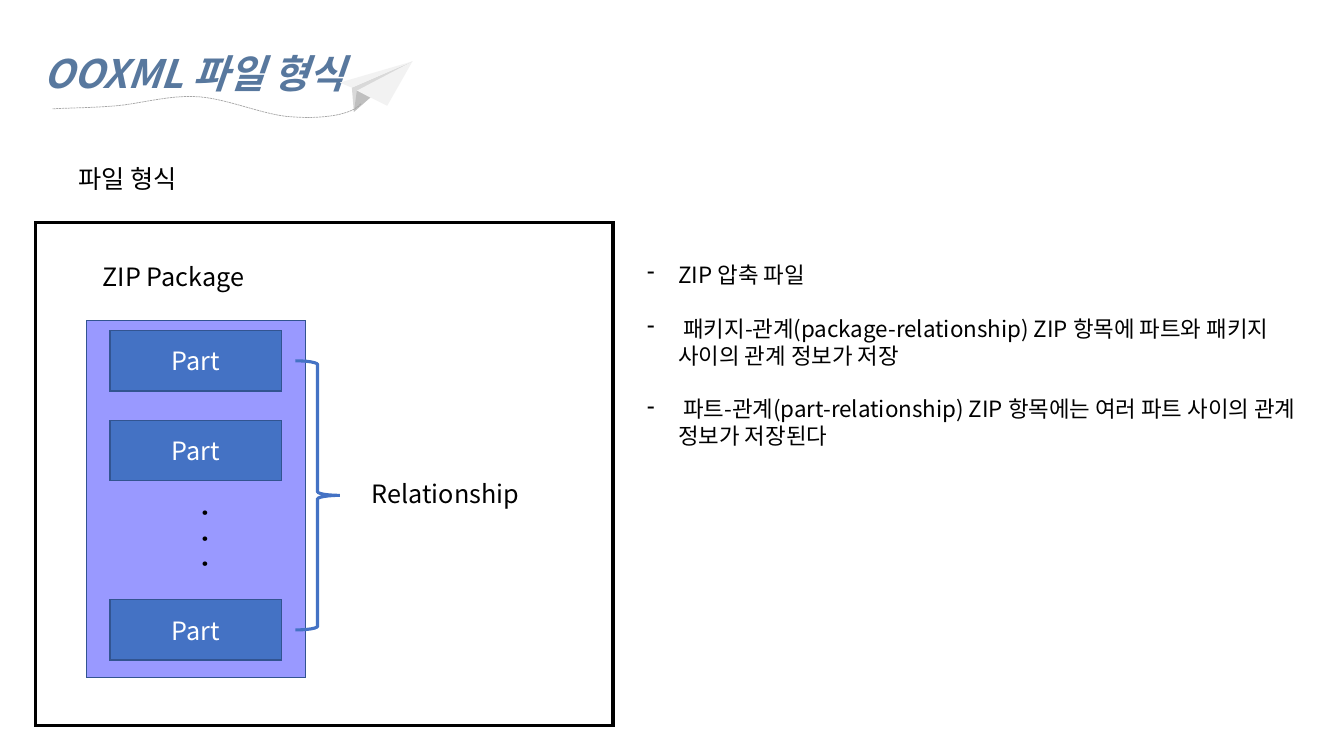
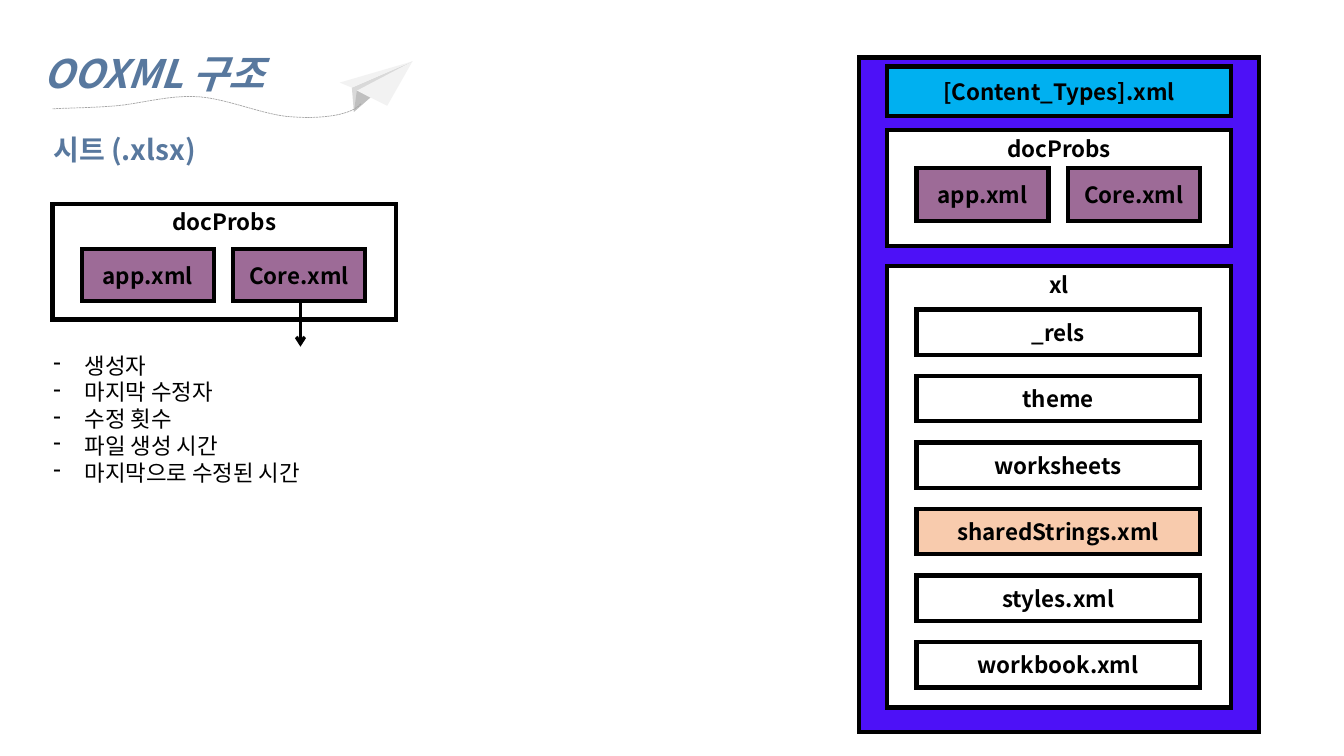
from dataclasses import dataclass

from lxml.etree import SubElement as Sub
from pptx import Presentation as Deck
from pptx.dml.color import RGBColor as Color
from pptx.enum.dml import MSO_LINE as Dash
from pptx.enum.shapes import MSO_CONNECTOR as Link, MSO_SHAPE as Kind
from pptx.enum.text import MSO_ANCHOR as Anchor, MSO_AUTO_SIZE as Fit, PP_ALIGN as Align
from pptx.oxml.ns import qn
from pptx.util import Inches, Pt


@dataclass(frozen=True)
class Theme:
    """Colours, font and type sizes of the deck."""
    font: str = "Noto Sans CJK KR"
    ink: str = "000000"
    paper: str = "FFFFFF"
    steel: str = "58789E"
    blue: str = "4472C4"
    navy: str = "325491"
    lilac: str = "9999FF"
    violet: str = "4D11F7"
    sky: str = "00B0F0"
    plum: str = "9D6B97"
    peach: str = "F8CBAD"
    wing: str = "F2F2F2"
    fold: str = "D9D9D9"
    shade: str = "BFBFBF"
    trail: str = "A6A6A6"
    head: int = 28
    sub: int = 20
    dots: int = 24
    body: int = 18
    note: int = 16


THEME = Theme()
PLANE = [
    (THEME.fold, [(3.49, 0.87), (3.51, 1.11), (4.09, 0.61)]),
    (THEME.wing, [(4.09, 0.61), (3.54, 0.9), (3.84, 1.05)]),
    (THEME.wing, [(4.09, 0.61), (3.49, 0.87), (3.37, 0.82)]),
    (THEME.shade, [(3.54, 0.9), (3.51, 1.11), (3.67, 0.97)]),
]
TRAIL = [
    (3.58, 1.03), (3.48, 1.15), (3.17, 1.18), (2.9, 1.16),
    (2.64, 1.15), (2.26, 0.98), (1.97, 0.96),
    (1.68, 0.94), (1.39, 1.03), (1.15, 1.05),
    (0.91, 1.07), (0.71, 1.07), (0.52, 1.08),
]


def curve(knots, steps=12):
    """Return points along a chain of cubic Bezier curves."""
    spots = [knots[0]]
    for i in range(0, len(knots) - 1, 3):
        for n in range(1, steps + 1):
            t = n / steps
            parts = ((1 - t) ** 3, 3 * t * (1 - t) ** 2, 3 * t * t * (1 - t), t ** 3)
            spots.append(tuple(
                sum(w * knot[axis] for w, knot in zip(parts, knots[i:i + 4]))
                for axis in (0, 1)))
    return spots


def write(shape, text, size=THEME.body, color=THEME.ink, bold=False, italic=False,
          align=Align.LEFT, anchor=Anchor.TOP, lead=None, gap=0, bullet=None,
          track=0, grow=False):
    """Fill a shape with text, one paragraph a line, in one format."""
    frame = shape.text_frame
    frame.text = text
    frame.word_wrap = True
    frame.vertical_anchor = anchor
    frame.auto_size = Fit.SHAPE_TO_FIT_TEXT if grow else Fit.NONE
    for i, para in enumerate(frame.paragraphs):
        para.alignment = align
        if lead:
            para.line_spacing = lead
        if gap and i:
            para.space_before = Pt(gap)
        for run in para.runs:
            font = run.font
            font.name, font.size = THEME.font, Pt(size)
            font.bold, font.italic = bold, italic
            font.color.rgb = Color.from_string(color)
    for props in shape.element.iter(qn("a:rPr")):
        Sub(props, qn("a:ea")).set("typeface", THEME.font)
        if track:
            props.set("spc", str(track * 100))
    if bullet:
        for props in shape.element.iter(qn("a:pPr")):
            props.set("marL", str(Inches(0.31)))
            props.set("indent", str(-Inches(0.31)))
            Sub(props, qn("a:buChar")).set("char", bullet)


class Pen:
    """Draws styled elements on the current slide."""

    def __init__(self):
        """Start a wide, empty deck."""
        self.deck = Deck()
        self.deck.slide_width = Inches(13.33)
        self.deck.slide_height = Inches(7.5)
        self.slide = None

    def page(self, title):
        """Add a slide with its title and the paper plane."""
        self.slide = self.deck.slides.add_slide(self.deck.slide_layouts[5])
        head = self.slide.shapes.title
        head.left, head.top = Inches(0.33), Inches(0.21)
        head.width, head.height = Inches(4.56), Inches(0.74)
        write(head, title, size=THEME.head, color=THEME.steel, bold=True,
              italic=True, lead=1.5, grow=True)
        for fill, spots in PLANE:
            self.shape(spots, fill=fill)
        path = self.shape(curve(TRAIL), line=THEME.trail, width=0.5)
        path.line.dash_style = Dash.SQUARE_DOT

    def paint(self, shape, fill=None, line=None, width=1):
        """Set fill and outline, without a shadow."""
        shape.shadow.inherit = False
        if fill:
            shape.fill.solid()
            shape.fill.fore_color.rgb = Color.from_string(fill)
        else:
            shape.fill.background()
        if line:
            shape.line.color.rgb = Color.from_string(line)
            shape.line.width = Pt(width)
        else:
            shape.line.fill.background()
        return shape

    def shape(self, spots, fill=None, **look):
        """Draw an outline through points, closed when it has a fill."""
        first, *rest = [(Inches(x), Inches(y)) for x, y in spots]
        form = self.slide.shapes.build_freeform(*first)
        form.add_line_segments(rest, close=bool(fill))
        return self.paint(form.convert_to_shape(), fill, **look)

    def box(self, x, y, w, h, text="", fill=THEME.paper, line=THEME.ink, width=3,
            kind=Kind.RECTANGLE, **style):
        """Draw a sharp-cornered preset shape, with a label if it has text."""
        item = self.slide.shapes.add_shape(
            kind, Inches(x), Inches(y), Inches(w), Inches(h))
        self.paint(item, fill, line, width)
        edge = item.element.spPr.find(qn("a:ln"))
        Sub(edge, qn("a:miter")).set("lim", "800000")
        if text:
            look = dict(size=THEME.note, bold=True, align=Align.CENTER,
                        anchor=Anchor.MIDDLE)
            write(item, text, **(look | style))

    def text(self, x, y, w, h, text, upright=False, **style):
        """Add a text box."""
        item = self.slide.shapes.add_textbox(
            Inches(x), Inches(y), Inches(w), Inches(h))
        write(item, text, **style)
        if upright:
            item.element.txBody.bodyPr.set("vert", "eaVert")

    def arrow(self, x, y, end):
        """Draw an arrow straight down."""
        item = self.slide.shapes.add_connector(
            Link.STRAIGHT, Inches(x), Inches(y), Inches(x), Inches(end))
        item.line.color.rgb = Color.from_string(THEME.ink)
        item.line.width = Pt(2.25)
        props = item.element.spPr
        Sub(props.find(qn("a:ln")), qn("a:tailEnd")).set("type", "arrow")
        Sub(props, qn("a:effectLst"))

    def docs(self, x, y, drop):
        """Draw the docProbs folder with its two files."""
        self.box(x, y, 3.41, 1.15, "docProbs", anchor=Anchor.TOP)
        for i, name in enumerate(("app.xml", "Core.xml")):
            self.box(x + 0.29 + 1.5 * i, y + drop, 1.31, 0.52, name, fill=THEME.plum)


def format_page(pen):
    """Build the slide on the file format."""
    pen.page("OOXML 파일 형식")
    pen.text(0.68, 1.57, 8.08, 0.4, "파일 형식")
    pen.box(0.35, 2.21, 5.73, 4.99, width=2.25)
    pen.box(0.86, 3.18, 2.17, 3.54, fill=THEME.lilac, line=THEME.navy, width=1)
    for row in (0, 1, 3):
        pen.box(1.09, 3.28 + 0.89 * row, 1.7, 0.6, "Part", fill=THEME.blue,
                line=THEME.navy, width=1, size=THEME.body, color=THEME.paper,
                bold=False)
    pen.text(1.79, 4.95, 0.61, 1.77, ". . .", upright=True, size=THEME.dots, track=3)
    pen.text(0.92, 2.54, 2.36, 0.4, "ZIP Package")
    pen.box(2.93, 3.58, 0.44, 2.67, fill=None, line=THEME.blue, width=2.25,
            kind=Kind.RIGHT_BRACE)
    pen.text(3.59, 4.7, 2.36, 0.4, "Relationship")
    notes = (
        "ZIP 압축 파일",
        " 패키지-관계(package-relationship) ZIP 항목에 파트와 패키지 사이의 관계 정보가 저장",
        " 파트-관계(part-relationship) ZIP 항목에는 여러 파트 사이의 관계 정보가 저장된다",
    )
    pen.text(6.32, 2.54, 6.67, 1.99, "\n".join(notes), size=THEME.note,
             bullet="-", gap=19.25)


def tree_page(pen):
    """Build the slide on the parts of a workbook."""
    pen.page("OOXML 구조")
    pen.box(8.52, 0.57, 3.97, 6.69, fill=THEME.violet)
    pen.box(8.8, 0.66, 3.41, 0.49, "[Content_Types].xml", fill=THEME.sky)
    pen.docs(8.8, 1.29, 0.38)
    pen.box(8.8, 2.64, 3.41, 4.38, "xl", anchor=Anchor.TOP)
    names = ("_rels", "theme", "worksheets", "sharedStrings.xml", "styles.xml",
             "workbook.xml")
    for i, name in enumerate(names):
        fill = THEME.peach if name == "sharedStrings.xml" else THEME.paper
        pen.box(9.09, 3.07 + 0.66 * i, 2.81, 0.45, name, fill=fill)
    pen.text(0.43, 1.27, 3.24, 0.44, "시트 (.xlsx)", size=THEME.sub,
             color=THEME.steel, bold=True)
    pen.docs(0.52, 2.02, 0.45)
    pen.arrow(2.98, 2.99, 3.44)
    facts = ("생성자", "마지막 수정자", "수정 횟수", "파일 생성 시간",
             "마지막으로 수정된 시간")
    pen.text(0.43, 3.44, 7.59, 1.46, "\n".join(facts), size=THEME.note, bullet="-")


def main():
    """Build and save the deck."""
    pen = Pen()
    format_page(pen)
    tree_page(pen)
    pen.deck.save("out.pptx")


main()
